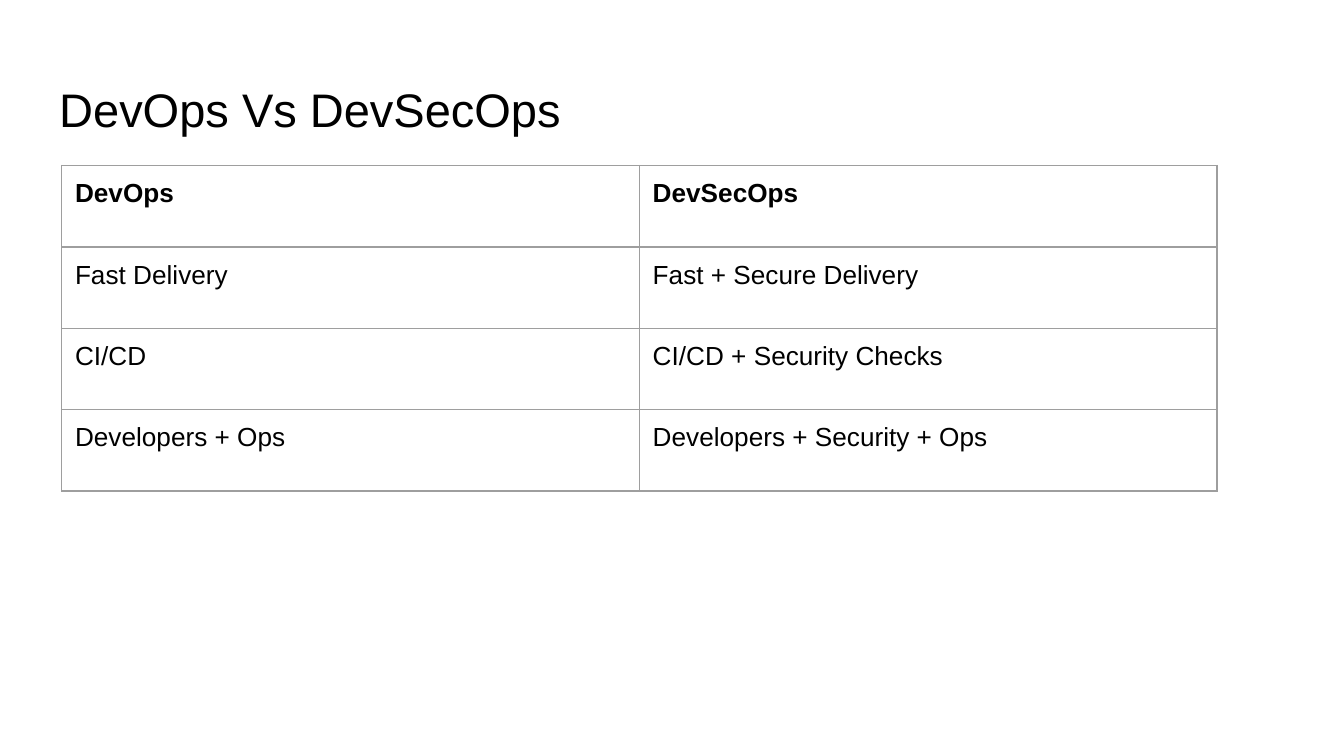
from pptx import Presentation as Deck
from pptx.dml.color import RGBColor as Color
from pptx.enum.text import MSO_ANCHOR as Anchor, MSO_AUTO_SIZE as Fit, PP_ALIGN as Align
from pptx.oxml import parse_xml as to_xml
from pptx.oxml.ns import nsdecls
from pptx.util import Pt

HUES = {"ink": "000000", "line": "9E9E9E"}
ROWS = [
    ("DevOps", "DevSecOps"),
    ("Fast Delivery", "Fast + Secure Delivery"),
    ("CI/CD", "CI/CD + Security Checks"),
    ("Developers + Ops", "Developers + Security + Ops"),
]


def write(frame, text, size=14, bold=False, font="Arial", hue="ink"):
    frame.word_wrap = True
    para = frame.paragraphs[0]
    para.alignment = Align.LEFT
    run = para.add_run()
    run.text = text
    run.font.name = font
    run.font.size = Pt(size)
    run.font.bold = bold
    run.font.color.rgb = Color.from_string(HUES[hue])


class Page:
    """Hold the style and the current slide, and add each kind of element."""

    inset = Pt(7.2)
    rule = Pt(0.75)

    def __init__(self, deck):
        self.slide = deck.slides.add_slide(deck.slide_layouts[5])

    def pad(self, item):
        item.margin_left = item.margin_right = self.inset
        item.margin_top = item.margin_bottom = self.inset

    def title(self, text, left, top, width, height):
        shape = self.slide.shapes.title
        shape.left, shape.top = Pt(left), Pt(top)
        shape.width, shape.height = Pt(width), Pt(height)
        frame = shape.text_frame
        frame.auto_size = Fit.NONE
        frame.vertical_anchor = Anchor.MIDDLE
        self.pad(frame)
        write(frame, text, size=25.2)

    def border(self, cell):
        props = cell._tc.get_or_add_tcPr()
        for spot, side in enumerate("LRTB"):
            props.insert(spot, to_xml(
                f'<a:ln{side} {nsdecls("a")} w="{self.rule}"><a:solidFill>'
                f'<a:srgbClr val="{HUES["line"]}"/></a:solidFill></a:ln{side}>'))

    def table(self, rows, left, top, wide, high):
        count, span = len(rows), len(rows[0])
        grid = self.slide.shapes.add_table(
            count, span, Pt(left), Pt(top), Pt(wide * span), Pt(high * count)).table
        grid.horz_banding = False
        for col in grid.columns:
            col.width = Pt(wide)
        for y, row in enumerate(rows):
            grid.rows[y].height = Pt(high)
            for x, text in enumerate(row):
                cell = grid.cell(y, x)
                cell.fill.background()
                self.pad(cell)
                self.border(cell)
                write(cell.text_frame, text, bold=y == 0)


def main():
    deck = Deck()
    deck.slide_width, deck.slide_height = Pt(720), Pt(405)
    page = Page(deck)
    page.title("DevOps Vs DevSecOps", 24.5, 36, 671, 45)
    page.table(ROWS, 33, 88.7, 309.5, 43.6)
    deck.save("out.pptx")


if __name__ == "__main__":
    main()
